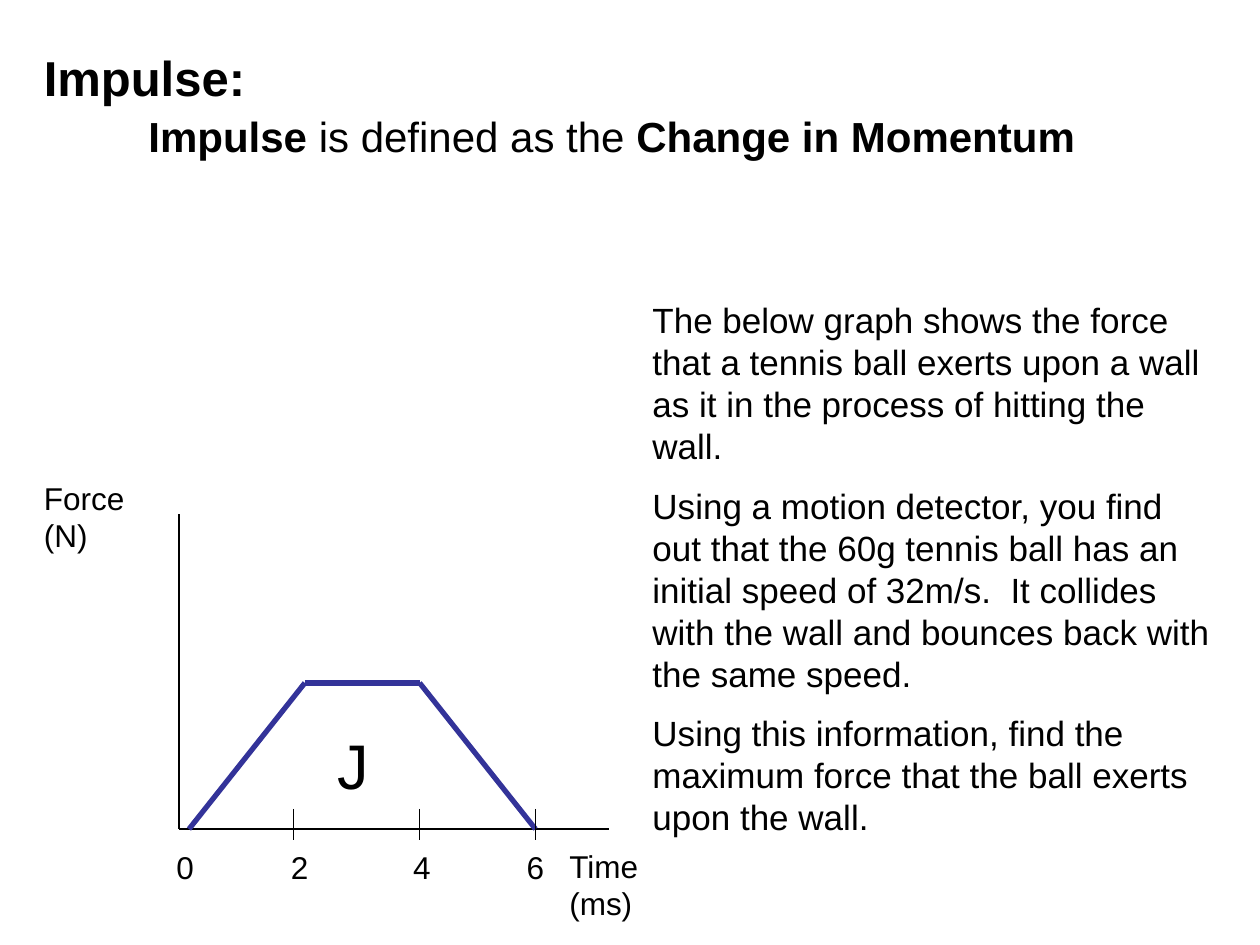
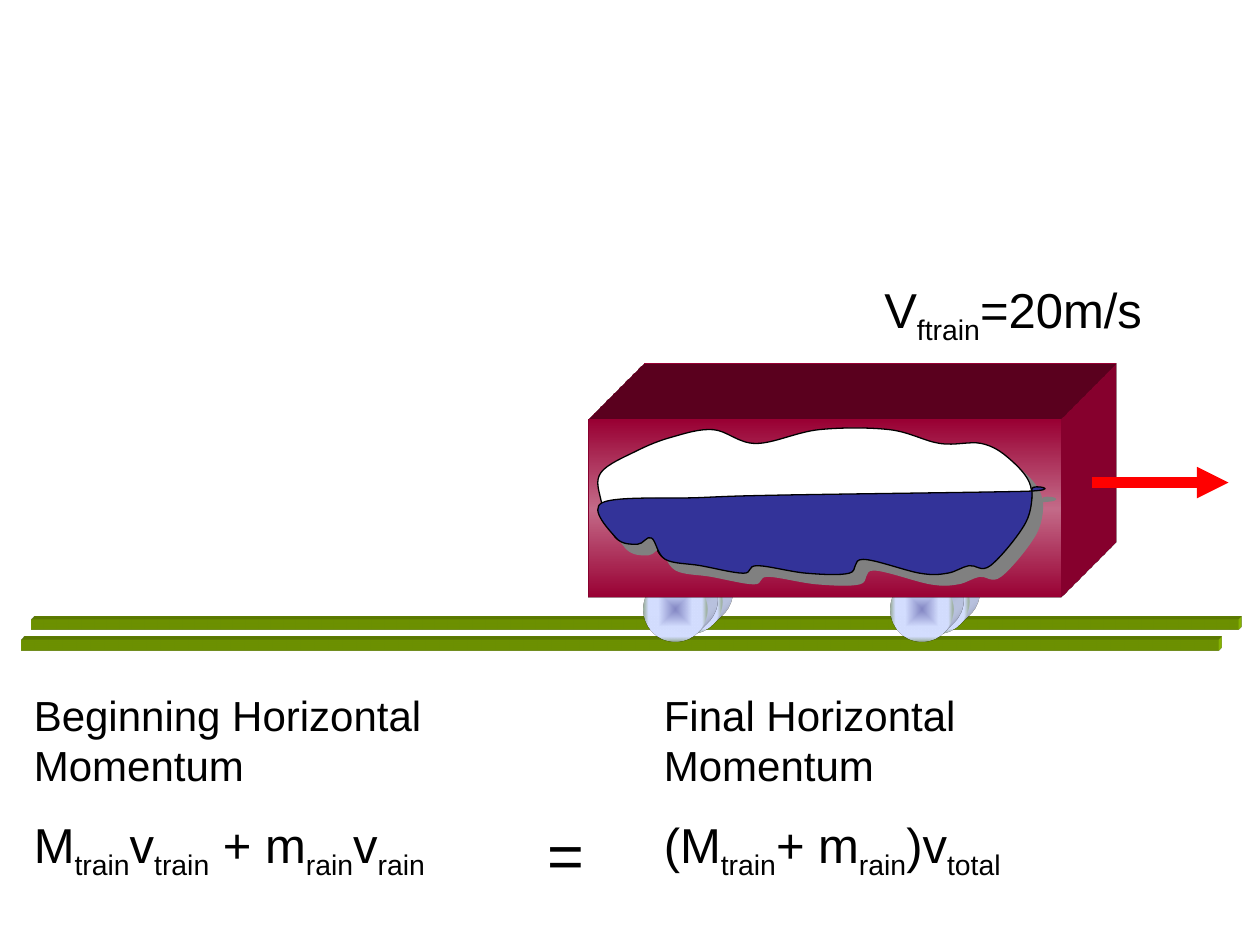
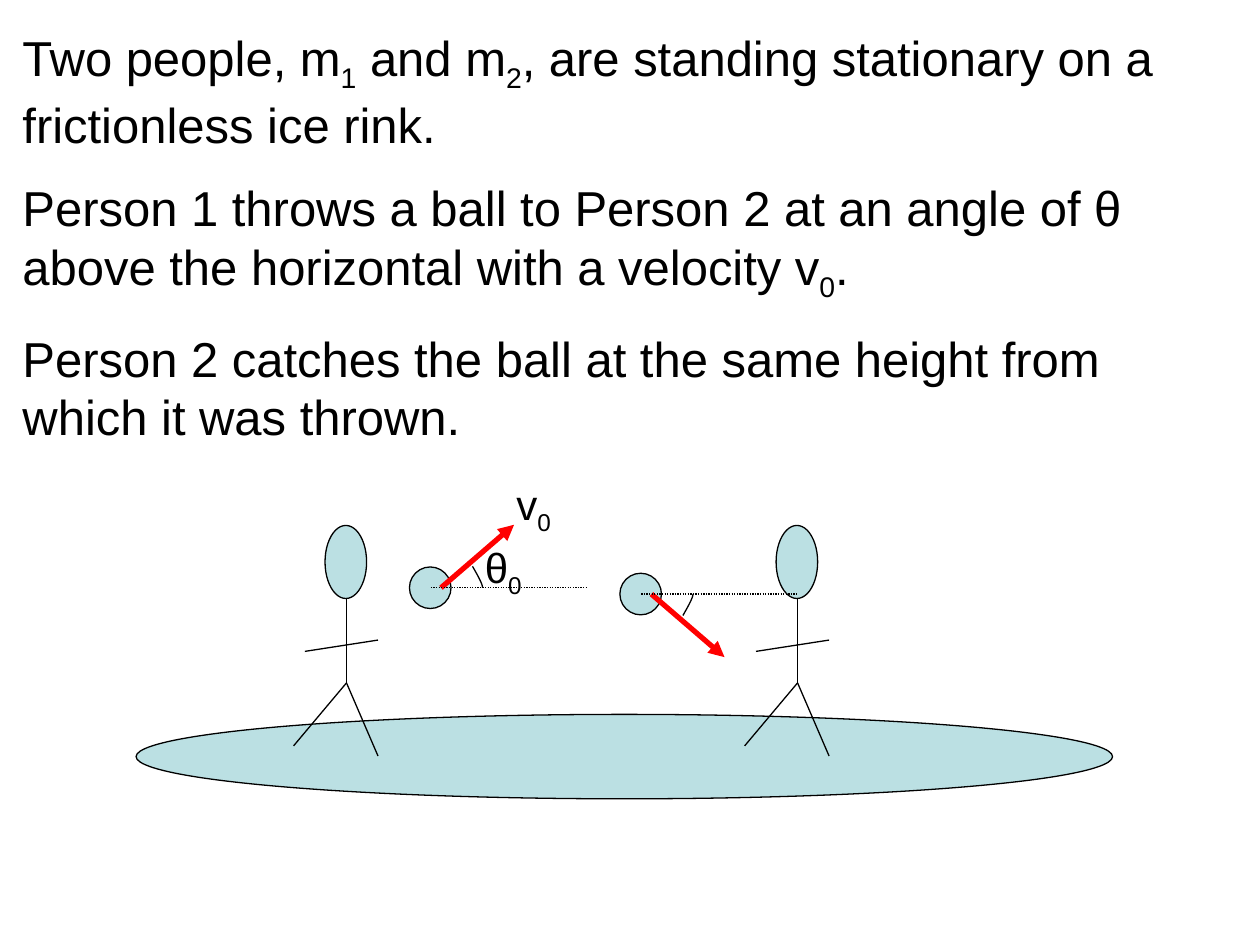
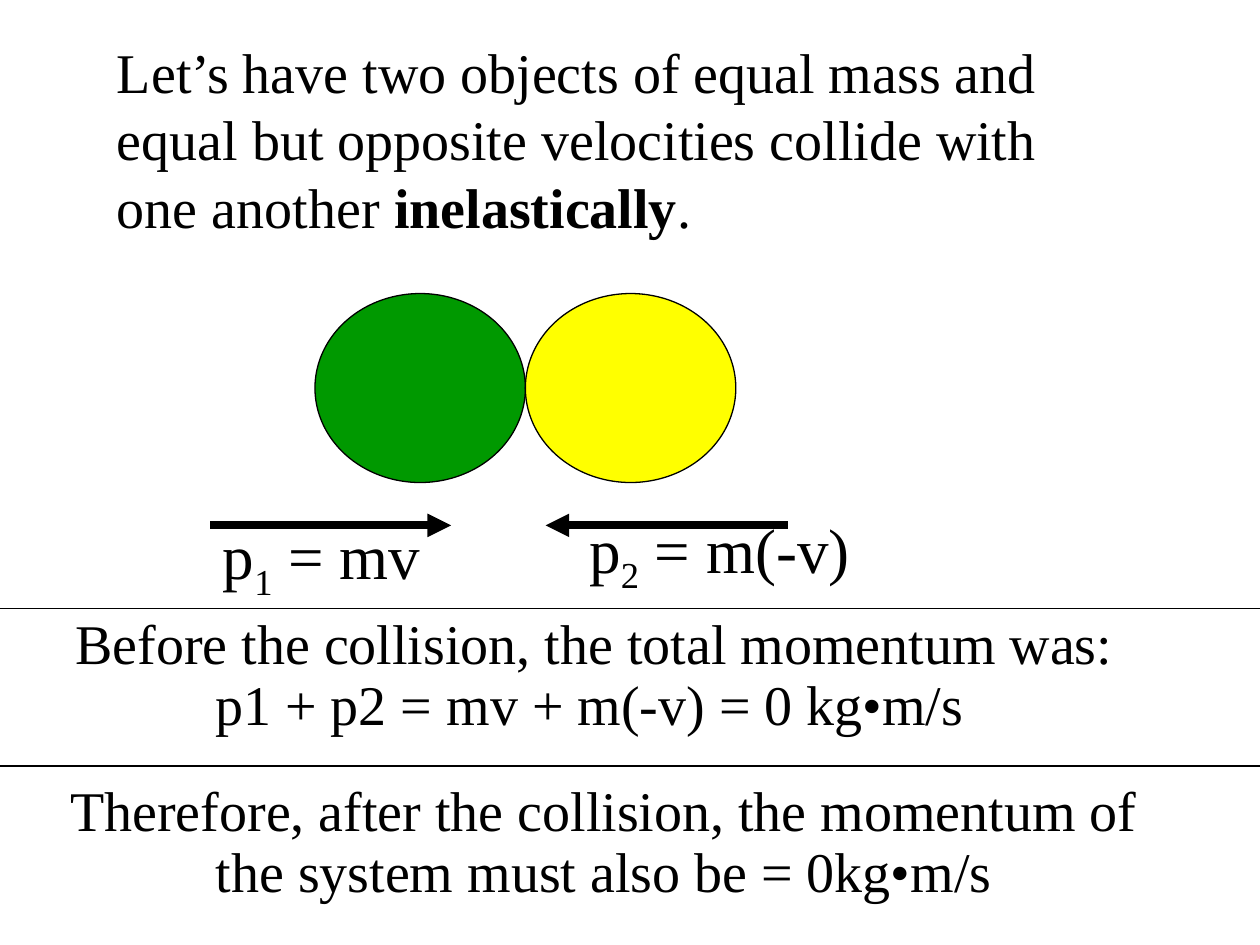
from collections import namedtuple

from pptx import Presentation
from pptx import oxml
from pptx import util as u
from pptx.dml import color
from pptx.enum import dml as looks
from pptx.enum import shapes, text
from pptx.oxml import ns

Box = namedtuple("Box", "left top width height")

INK = "000000"
BLUE = "333399"
RED = "FF0000"
ICE = "BBE0E3"
RAIL = "99CC00"
SHADE = "808080"
SANS = "Arial"
SERIF = "Times New Roman"
WHEEL = [(0, "8488C4"), (53, "D4DEFF"), (83, "D4DEFF"), (100, "96AB94")]
CAR = [(0, "990033"), (50, "C36A88"), (100, "990033")]
CENTRE = '<a:path path="shape"><a:fillToRect l="50000" t="50000" r="50000" b="50000"/></a:path>'
VERTICAL = '<a:lin ang="5400000" scaled="1"/>'


def rgb(value):
    return color.RGBColor.from_string(value)


def element(markup):
    tag, rest = markup.split(" ", 1)
    return oxml.parse_xml(f"{tag} {ns.nsdecls('a')} {rest}")


def inside(box, left, top, width, height):
    return Box(box.left + left, box.top + top, width, height)


def paint(shape, fill=None, line=None):
    shape.shadow.inherit = False
    if fill:
        shape.fill.solid()
        shape.fill.fore_color.rgb = rgb(fill)
    else:
        shape.fill.background()
    if line:
        shape.line.color.rgb = rgb(line)
        shape.line.width = u.Pt(0.75)
    else:
        shape.line.fill.background()
    return shape


def draw(canvas, kind, box, fill, line=None):
    return paint(canvas.add_shape(kind, *map(u.Inches, box)), fill, line)


def oval(canvas, box, fill, line=INK):
    return draw(canvas, shapes.MSO_SHAPE.OVAL, box, fill, line)


def bar(canvas, box, fill):
    return draw(canvas, shapes.MSO_SHAPE.RECTANGLE, box, fill)


def blend(shape, stops, direction):
    shape.fill.gradient()
    props = shape._element.spPr
    marks = "".join(
        f'<a:gs pos="{place * 1000}"><a:srgbClr val="{tone}"/></a:gs>' for place, tone in stops
    )
    props.replace(
        props.find(ns.qn("a:gradFill")),
        element(f'<a:gradFill rotWithShape="1"><a:gsLst>{marks}</a:gsLst>{direction}</a:gradFill>'),
    )


def extrude(shape, depth, tone):
    props = shape._element.spPr
    props.append(element(
        '<a:scene3d ><a:camera prst="legacyObliqueTopRight"/>'
        '<a:lightRig rig="legacyFlat3" dir="b"/></a:scene3d>'
    ))
    props.append(element(
        f'<a:sp3d extrusionH="{u.Inches(depth)}" prstMaterial="legacyMatte">'
        '<a:bevelT w="13500" h="13500" prst="angle"/><a:bevelB w="13500" h="13500" prst="angle"/>'
        f'<a:extrusionClr><a:srgbClr val="{tone}"/></a:extrusionClr></a:sp3d>'
    ))


def drop_shadow(shape):
    effects = shape._element.spPr.find(ns.qn("a:effectLst"))
    effects.append(element(
        '<a:outerShdw dist="107950" dir="2700000" algn="ctr" rotWithShape="0">'
        f'<a:srgbClr val="{SHADE}"/></a:outerShdw>'
    ))


def rule(canvas, start, end, tone=INK, width=0.75, arrow=False, dotted=False):
    line = canvas.add_connector(
        shapes.MSO_CONNECTOR.STRAIGHT, *map(u.Inches, (*start, *end))
    )
    line.line.color.rgb = rgb(tone)
    line.line.width = u.Pt(width)
    if dotted:
        line.line.dash_style = looks.MSO_LINE.ROUND_DOT
    props = line._element.spPr
    if arrow:
        props.find(ns.qn("a:ln")).append(element('<a:tailEnd type="triangle" />'))
    props.append(element("<a:effectLst />"))


def curve(canvas, points, fill=None, line=INK, closed=True):
    spots = [(u.Inches(x), u.Inches(y)) for x, y in points]
    builder = canvas.build_freeform(*spots[0])
    builder.add_line_segments(spots[1:], close=closed)
    shape = builder.convert_to_shape()
    segments = list(shape._element.spPr.iter(ns.qn("a:lnTo")))
    for index in range(0, len(segments), 3):
        bend = element("<a:cubicBezTo />")
        segments[index].addprevious(bend)
        for segment in segments[index:index + 3]:
            bend.append(segment[0])
            segment.getparent().remove(segment)
    return paint(shape, fill, line)


def smooth(anchors):
    count = len(anchors)
    points = [anchors[0]]
    for index in range(count):
        corners = [anchors[(index + shift) % count] for shift in (-1, 0, 1, 2)]
        points += [
            tuple(b + (c - a) / 6 for a, b, c, d in zip(*corners)),
            tuple(c - (d - b) / 6 for a, b, c, d in zip(*corners)),
            corners[2],
        ]
    return points


def write(canvas, box, paragraphs, size, font=SANS, align=None, spacing=None):
    frame = canvas.add_textbox(*map(u.Inches, box)).text_frame
    frame.word_wrap = True
    frame.auto_size = text.MSO_AUTO_SIZE.SHAPE_TO_FIT_TEXT
    sizes = size if isinstance(size, tuple) else (size,) * len(paragraphs)
    for index, (runs, points) in enumerate(zip(paragraphs, sizes)):
        para = frame.add_paragraph() if index else frame.paragraphs[0]
        if index:
            para.space_before = u.Pt(points / 2)
        if align:
            para.alignment = align
        if spacing:
            para.line_spacing = spacing
        for run in runs:
            words, style = run if isinstance(run, tuple) else (run, "plain")
            span = para.add_run()
            span.text = words
            span.font.name = font
            span.font.size = u.Pt(points)
            span.font.color.rgb = rgb(INK)
            span.font.bold = style == "bold"
            if style == "sub":
                span._r.get_or_add_rPr().set("baseline", "-25000")
    return frame


def set_tabs(para, places, align):
    stops = "".join(f'<a:tab pos="{u.Inches(place)}" algn="{align}"/>' for place in places)
    para._p.get_or_add_pPr().append(element(f"<a:tabLst >{stops}</a:tabLst>"))


def sub(words):
    return words, "sub"


def bold(words):
    return words, "bold"


def force_graph(canvas, box):
    left, base = box.left, box.top + box.height
    ticks = [left + 0.91, left + 1.91, left + 2.83]
    peak = base - 1.16
    rule(canvas, (left, box.top), (left, base))
    rule(canvas, (left, base), (left + box.width, base))
    corners = [(left + 0.08, base), (left + 1, peak), (ticks[1], peak), (ticks[2], base)]
    for here, there in zip(corners, corners[1:]):
        rule(canvas, here, there, BLUE, 3)
    for tick in ticks:
        rule(canvas, (tick, base - 0.16), (tick, base + 0.09))
    write(canvas, inside(box, 1.16, 1.64, 0.67, 0.7), [["J"]], 36)
    scale = write(canvas, inside(box, -0.25, 2.6, 4.25, 0.4), [["\t0\t2\t4\t6"]], 18)
    set_tabs(scale.paragraphs[0], [0.2, 1.11, 2.08, 2.98], "ctr")
    write(canvas, inside(box, 3, 2.59, 1.08, 0.7), [["Time (ms)"]], 18)
    write(canvas, inside(box, -1.17, -0.33, 1.08, 0.7), [["Force (N)"]], 18)


def impulse_slide(page):
    canvas = page.shapes
    write(canvas, Box(0.25, 0.33, 8.58, 0.57), [[bold("Impulse:")]], 28)
    write(canvas, Box(1.08, 0.83, 7.92, 0.51), [
        [bold("Impulse"), " is defined as the ", bold("Change in Momentum")],
    ], 24)
    force_graph(canvas, Box(1.42, 4.08, 3.41, 2.5))
    write(canvas, Box(5.08, 2.32, 4.67, 4.43), [
        ["The below graph shows the force that a tennis ball exerts upon a wall "
         "as it in the process of hitting the wall."],
        ["Using a motion detector, you find out that the 60g tennis ball has an initial "
         "speed of 32m/s.  It collides with the wall and bounces back with the same speed."],
        ["Using this information, find the maximum force that the ball exerts upon the wall."],
    ], 20)


def wheel(canvas, box):
    disc = oval(canvas, box, WHEEL[1][1], None)
    blend(disc, WHEEL, CENTRE)
    extrude(disc, 0.23, WHEEL[1][1])


def tank_car(canvas, box):
    for left, top in [(2.52, 1.19), (2.4, 1.25), (0.56, 1.19), (0.44, 1.25)]:
        wheel(canvas, inside(box, left, top, 0.5, 0.51))
    body = bar(canvas, box, CAR[0][1])
    blend(body, CAR, VERTICAL)
    extrude(body, 1.25, CAR[0][1])
    floor = [(0.21, 0.93), (0.38, 0.98), (0.49, 0.93), (0.6, 1.1), (0.88, 1.15),
             (1.22, 1.21), (1.33, 1.15), (1.72, 1.21), (2.06, 1.21), (2.17, 1.1),
             (2.62, 1.21), (2.84, 1.21), (3.01, 1.15), (3.18, 1.15), (3.46, 0.81)]
    ceiling = [(3.51, 0.53), (3.34, 0.31), (3.12, 0.19), (2.79, 0.19), (2.39, 0.08),
               (1.83, 0.08), (1.33, 0.19), (0.99, 0.08), (0.66, 0.14), (0.38, 0.25),
               (0.1, 0.42), (0.1, 0.64)]
    surface = [(3.51, 0.54), (3.45, 0.56), (1.52, 0.59), (0.87, 0.61), (0.1, 0.65)]

    def fill_tank(upper, fill, shift):
        anchors = [(box.left + x + shift, box.top + y + shift) for x, y in floor + upper]
        drop_shadow(curve(canvas, smooth(anchors), fill))

    fill_tank(ceiling, "FFFFFF", 0)
    write(canvas, inside(box, 2.25, -1.16, 3.08, 0.57), [["V", sub("ftrain"), "=20m/s"]], 28)
    fill_tank(surface, BLUE, 0.01)


def train_slide(page):
    canvas = page.shapes
    for rail in [Box(0.25, 4.92, 9.58, 0.08), Box(0.17, 5.08, 9.5, 0.08)]:
        extrude(bar(canvas, rail, RAIL), 0.07, RAIL)
    tank_car(canvas, Box(4.67, 3.33, 3.75, 1.41))
    write(canvas, Box(0.17, 5.42, 4.83, 1.6), [
        ["Beginning Horizontal Momentum"],
        ["M", sub("train"), "v", sub("train"), " + m", sub("rain"), "v", sub("rain")],
    ], (24, 28))
    write(canvas, Box(5.17, 5.42, 4.08, 1.6), [
        ["Final Horizontal Momentum"],
        ["(M", sub("train"), "+ m", sub("rain"), ")v", sub("total")],
    ], (24, 28))
    write(canvas, Box(4.25, 6.42, 1.33, 0.7), [["="]], 36)
    rule(canvas, (8.67, 3.83), (9.75, 3.83), RED, 6, arrow=True)


def person(canvas, box):
    def limb(start, end):
        rule(canvas, *[(box.left + x, box.top + y) for x, y in (start, end)])

    limb((0, 1.75), (0.42, 1.25))
    limb((0.42, 1.25), (0.67, 1.83))
    limb((0.42, 1.25), (0.42, 0.5))
    oval(canvas, inside(box, 0.25, 0, 0.33, 0.58), ICE)
    limb((0.09, 1), (0.67, 0.91))


def ball_path(canvas, box, slope):
    left, middle = box.left, box.top + box.height / 2
    oval(canvas, box, ICE)
    rule(canvas, (left + 0.25, middle), (left + 0.83, middle + 0.5 * slope), RED, 3, arrow=True)
    rule(canvas, (left + 0.17, middle), (left + 1.41, middle), dotted=True)
    arc = [(0.5, 0.17), (0.54, 0.1), (0.58, 0.03), (0.58, 0)]
    curve(canvas, [(left + x, middle + y * slope) for x, y in arc], closed=False)


def rink_slide(page):
    canvas = page.shapes
    oval(canvas, Box(1.08, 5.67, 7.75, 0.67), ICE)
    for left in (2.33, 5.91):
        person(canvas, Box(left, 4.17, 0.67, 1.83))
    write(canvas, Box(0.08, 0.17, 9.42, 3.37), [
        ["Two people, m", sub("1"), " and m", sub("2"),
         ", are standing stationary on a frictionless ice rink."],
        ["Person 1 throws a ball to Person 2 at an angle of θ above the horizontal "
         "with a velocity v", sub("0"), "."],
        ["Person 2 catches the ball at the same height from which it was thrown."],
    ], 28)
    thrown = canvas.add_group_shape().shapes
    launch = Box(3.25, 4.5, 0.33, 0.33)
    ball_path(thrown, launch, -1)
    write(thrown, inside(launch, 0.75, -0.75, 0.83, 0.5), [["v", sub("0")]], 24)
    write(thrown, inside(launch, 0.5, -0.25, 0.67, 0.5), [["θ", sub("0")]], 24)
    caught = canvas.add_group_shape().shapes
    ball_path(caught, Box(4.92, 4.55, 0.33, 0.33), 1)


def collision(canvas, box):
    width = box.width / 2
    for index, fill in enumerate(["009900", "FFFF00"]):
        oval(canvas, inside(box, index * width, 0, width, box.height), fill)
    level = box.top + 1.84
    for start, end in [(-0.83, 1.08), (3.75, 1.83)]:
        rule(canvas, (box.left + start, level), (box.left + end, level), INK, 4.5, arrow=True)
    write(canvas, inside(box, -0.83, 1.72, 2.25, 0.7), [["p", sub("1"), " = mv"]], 36, SERIF)
    write(canvas, inside(box, 2.08, 1.67, 3.08, 0.7), [["p", sub("2"), " = m(-v)"]], 36, SERIF)


def collision_slide(page):
    canvas = page.shapes
    write(canvas, Box(0.83, 0.25, 7.92, 1.7), [
        ["Let’s have two objects of equal mass and equal but opposite velocities "
         "collide with one another ", bold("inelastically"), "."],
    ], 32, SERIF)
    collision(canvas, Box(2.5, 2.33, 3.34, 1.5))
    before = write(canvas, Box(0.5, 5.01, 8.75, 0.9), [
        ["Before the collision, the total momentum was:"],
        ["\t p1 + p2 = mv + m(-v) = 0 kg•m/s"],
    ], 32, SERIF, spacing=0.5)
    set_tabs(before.paragraphs[1], [1], "l")
    for level in (4.83, 6.08):
        rule(canvas, (0, level), (10, level))
    write(canvas, Box(0.42, 6.17, 8.75, 1.06), [
        ["Therefore, after the collision, the momentum of the system must also be = 0kg•m/s"],
    ], 32, SERIF, text.PP_ALIGN.CENTER, 0.9)


def main():
    deck = Presentation()
    deck.slide_width, deck.slide_height = u.Inches(10), u.Inches(7.5)
    for build in (impulse_slide, train_slide, rink_slide, collision_slide):
        build(deck.slides.add_slide(deck.slide_layouts[6]))
    deck.save("out.pptx")


if __name__ == "__main__":
    main()
